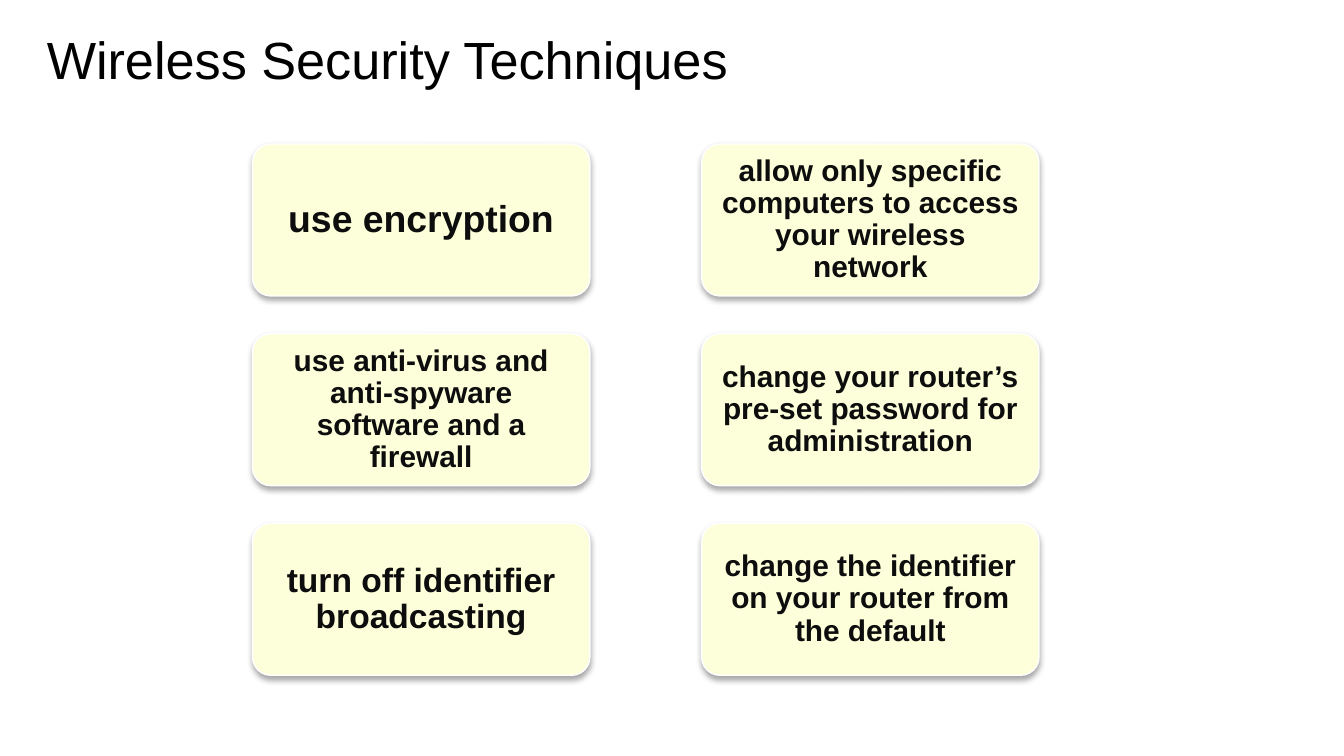
"""Build the wireless security slide: a title and a grid of cards."""
from lxml import etree
from pptx import Presentation
from pptx.dml.color import RGBColor
from pptx.enum.shapes import MSO_SHAPE
from pptx.enum.text import MSO_ANCHOR, PP_ALIGN
from pptx.oxml.ns import qn
from pptx.util import Pt

ROUND = MSO_SHAPE.ROUNDED_RECTANGLE
TOP, MIDDLE = MSO_ANCHOR.TOP, MSO_ANCHOR.MIDDLE
LEFT, CENTER = PP_ALIGN.LEFT, PP_ALIGN.CENTER

TITLE = "Wireless Security Techniques"
CARDS = [
    [("use encryption", 20),
     ("allow only specific computers to access your wireless network", 16)],
    [("use anti-virus and anti-spyware software and a firewall", 16),
     ("change your router’s pre-set password for administration", 16)],
    [("turn off identifier broadcasting", 18),
     ("change the identifier on your router from the default", 16)],
]
START_X, START_Y = 135.3, 77.2
STEP_X, STEP_Y = 240.6, 101.6
CARD_W, CARD_H = 180.7, 81.4


def color(code):
    return RGBColor.from_string(code)


def write(shape, text, size, code, bold, align, anchor, inset):
    frame = shape.text_frame
    frame.word_wrap = True
    frame.vertical_anchor = anchor
    frame.margin_left = frame.margin_right = Pt(inset)
    frame.margin_top = frame.margin_bottom = Pt(inset)
    para = frame.paragraphs[0]
    para.alignment = align
    run = para.add_run()
    run.text = text
    font = run.font
    font.name, font.size, font.bold = "Arial", Pt(size), bold
    font.color.rgb = color(code)
    return para


def add_shadow(shape):
    shape.shadow.inherit = False
    effects = shape.element.spPr.find(qn("a:effectLst"))
    outer = etree.SubElement(
        effects, qn("a:outerShdw"), blurRad=str(Pt(3.1)), dist=str(Pt(1.8)),
        dir="5400000", rotWithShape="0")
    tint = etree.SubElement(outer, qn("a:srgbClr"), val="000000")
    etree.SubElement(tint, qn("a:alpha"), val="35000")


def add_card(slide, x, y, text, size):
    card = slide.shapes.add_shape(ROUND, Pt(x), Pt(y), Pt(CARD_W), Pt(CARD_H))
    card.adjustments[0] = 0.12
    card.fill.solid()
    card.fill.fore_color.rgb = color("FCFFD9")
    card.line.color.rgb = color("FFFFFF")
    card.line.width = Pt(0.75)
    add_shadow(card)
    para = write(card, text, size, "0D0D0D", True, CENTER, MIDDLE, 6.8)
    para.line_spacing = 0.9


def main():
    deck = Presentation()
    deck.slide_width, deck.slide_height = Pt(720), Pt(405)
    slide = deck.slides.add_slide(deck.slide_layouts[6])
    title = slide.shapes.add_textbox(Pt(18), Pt(4.3), Pt(690), Pt(67.7))
    write(title, TITLE, 28, "000000", False, LEFT, TOP, 7.2)
    title.text_frame.margin_top = Pt(10.5)
    for row, cards in enumerate(CARDS):
        for col, (text, size) in enumerate(cards):
            x, y = START_X + col * STEP_X, START_Y + row * STEP_Y
            add_card(slide, x, y, text, size)
    deck.save("out.pptx")


if __name__ == "__main__":
    main()
